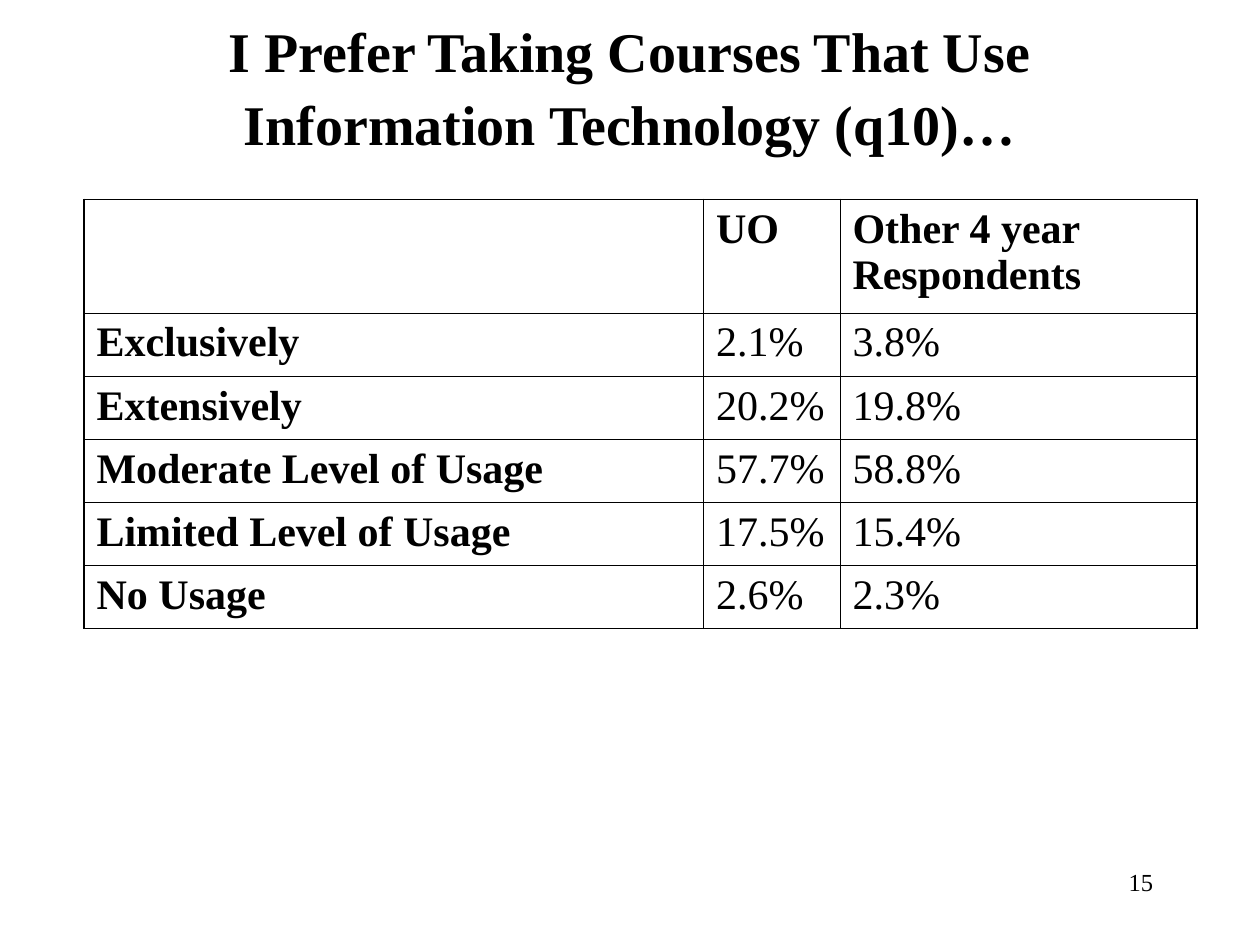
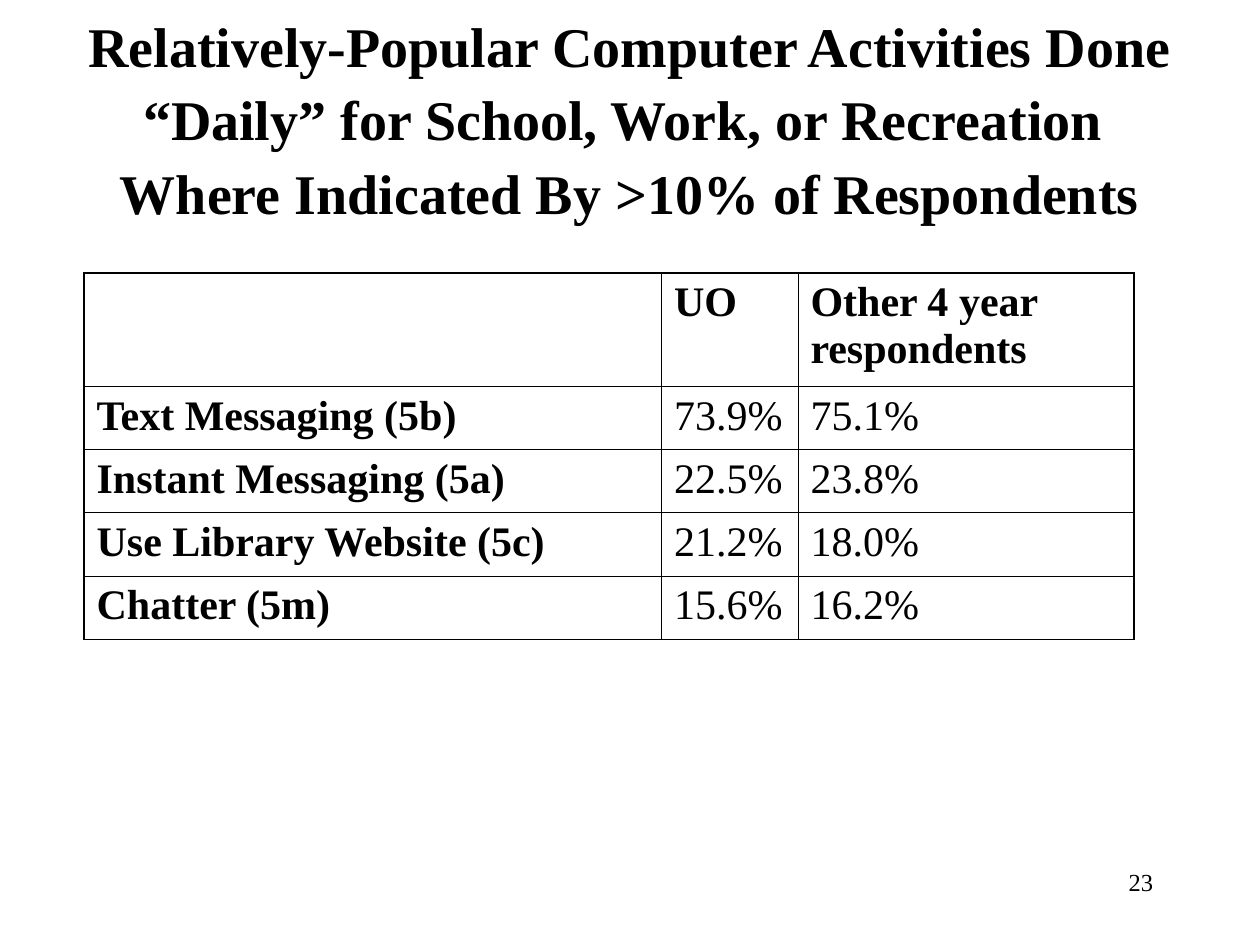
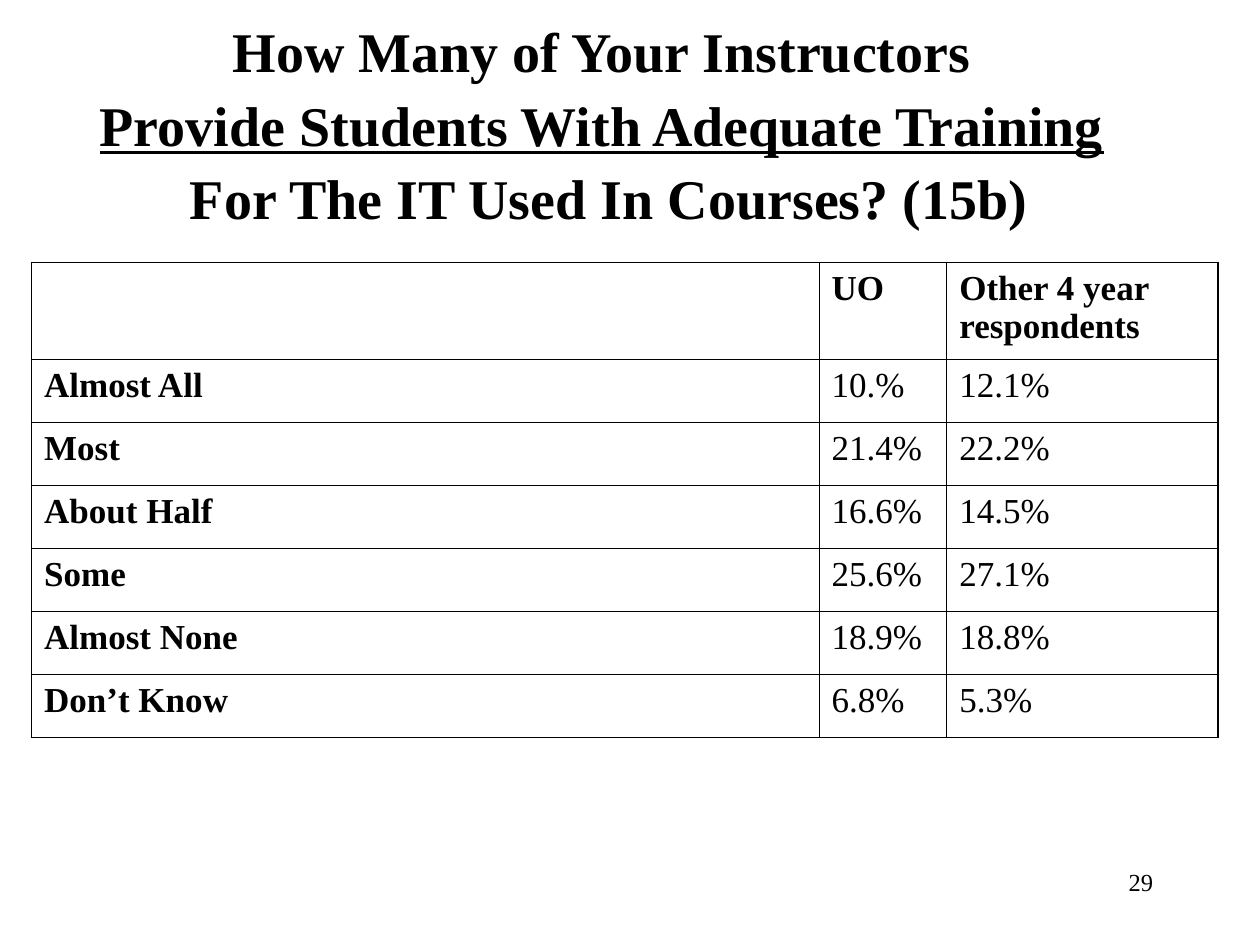
import pptx
import pptx.dml.color
import pptx.enum.text
import pptx.oxml.ns
import pptx.util
from lxml import etree

Pt = pptx.util.Pt
FONT = "Times New Roman"
BLACK = "000000"
THICK, THIN = 1.08, 0.45
ROW_HEIGHT = 36


def color(hex_text):
    return pptx.dml.color.RGBColor.from_string(hex_text)


def style(font, size, bold=False):
    font.name = FONT
    font.size = Pt(size)
    font.bold = bold
    font.color.rgb = color(BLACK)


def add_box(page, left, top, width, height):
    frame = page.shapes.add_textbox(Pt(left), Pt(top), Pt(width), Pt(height)).text_frame
    frame.word_wrap = True
    return frame


# Page number at the lower right
def add_page_number(page, number):
    para = add_box(page, 516, 492, 150, 36).paragraphs[0]
    para.text = str(number)
    para.alignment = pptx.enum.text.PP_ALIGN.RIGHT
    style(para.font, 14)


# Title made of (text, underlined) spans; "\n" breaks the line
def add_title(page, area, spans):
    frame = add_box(page, *area)
    frame.vertical_anchor = pptx.enum.text.MSO_ANCHOR.MIDDLE
    para = frame.paragraphs[0]
    para.alignment = pptx.enum.text.PP_ALIGN.CENTER
    para.line_spacing = 1.09
    style(para.font, 32, bold=True)
    for text, underlined in spans:
        for index, piece in enumerate(text.split("\n")):
            if index:
                para.add_line_break()
            if piece:
                span = para.add_run()
                span.text = piece
                if underlined:
                    span.font.underline = True


# Table cells and their borders
def set_borders(cell, widths):
    properties = cell._tc.get_or_add_tcPr()
    for side, width in zip("LRTB", widths):
        line = etree.SubElement(properties, pptx.oxml.ns.qn(f"a:ln{side}"), w=str(Pt(width)))
        fill = etree.SubElement(line, pptx.oxml.ns.qn("a:solidFill"))
        etree.SubElement(fill, pptx.oxml.ns.qn("a:srgbClr"), val=BLACK)


def add_table(page, left, top, columns, header_height, size, rows, bottom=THICK):
    heights = [header_height] + [ROW_HEIGHT] * (len(rows) - 1)
    table = page.shapes.add_table(len(rows), len(columns), Pt(left), Pt(top),
                                  Pt(sum(columns)), Pt(sum(heights))).table
    table.first_row = table.horz_banding = False
    for column, width in zip(table.columns, columns):
        column.width = Pt(width)
    last_row, last_column = len(rows) - 1, len(columns) - 1
    for r, values in enumerate(rows):
        table.rows[r].height = Pt(heights[r])
        for c, value in enumerate(values):
            cell = table.cell(r, c)
            set_borders(cell, (THICK if c == 0 else THIN,
                               THICK if c == last_column else THIN,
                               THICK if r == 0 else THIN,
                               bottom if r == last_row else THIN))
            cell.fill.background()
            para = cell.text_frame.paragraphs[0]
            para.text = value
            style(para.font, size, bold=r == 0 or c == 0)


def add_page(deck, number, title_area, title):
    page = deck.slides.add_slide(deck.slide_layouts[6])
    add_page_number(page, number)
    add_title(page, title_area, title)
    return page


def main():
    deck = pptx.Presentation()
    deck.slide_width, deck.slide_height = Pt(720), Pt(540)

    # Preference for technology in courses
    page = add_page(deck, 15, (54, 12, 612, 72), [
        ("I Prefer Taking Courses That Use Information Technology (q10)…", False)])
    add_table(page, 48, 114, (354, 78, 204), 65, 24, [
        ("", "UO", "Other 4 year Respondents"),
        ("Exclusively", "2.1%", "3.8%"),
        ("Extensively", "20.2%", "19.8%"),
        ("Moderate Level of Usage", "57.7%", "58.8%"),
        ("Limited Level of Usage", "17.5%", "15.4%"),
        ("No Usage", "2.6%", "2.3%")])

    # Daily computer activities
    page = add_page(deck, 23, (18, 18, 684, 96), [
        ("Relatively-Popular Computer Activities Done “Daily” for School, Work, "
         "or Recreation \nWhere Indicated By >10% of Respondents", False)])
    add_table(page, 48, 156, (330, 78, 192), 65, 24, [
        ("", "UO", "Other 4 year respondents"),
        ("Text Messaging (5b)", "73.9%", "75.1%"),
        ("Instant Messaging (5a)", "22.5%", "23.8%"),
        ("Use Library Website (5c)", "21.2%", "18.0%"),
        ("Chatter (5m)", "15.6%", "16.2%")], bottom=THIN)

    # Training given by instructors
    page = add_page(deck, 29, (0, 18, 696, 102), [
        ("How Many of Your Instructors \n", False),
        ("Provide Students With Adequate Training", True),
        (" \nFor The IT Used In Courses? (15b)", False)])
    add_table(page, 18, 150, (450, 73, 155), 55.5, 20, [
        ("", "UO", "Other 4 year respondents"),
        ("Almost All", "10.%", "12.1%"),
        ("Most", "21.4%", "22.2%"),
        ("About Half", "16.6%", "14.5%"),
        ("Some", "25.6%", "27.1%"),
        ("Almost None", "18.9%", "18.8%"),
        ("Don’t Know", "6.8%", "5.3%")])

    deck.save("out.pptx")


if __name__ == "__main__":
    main()
